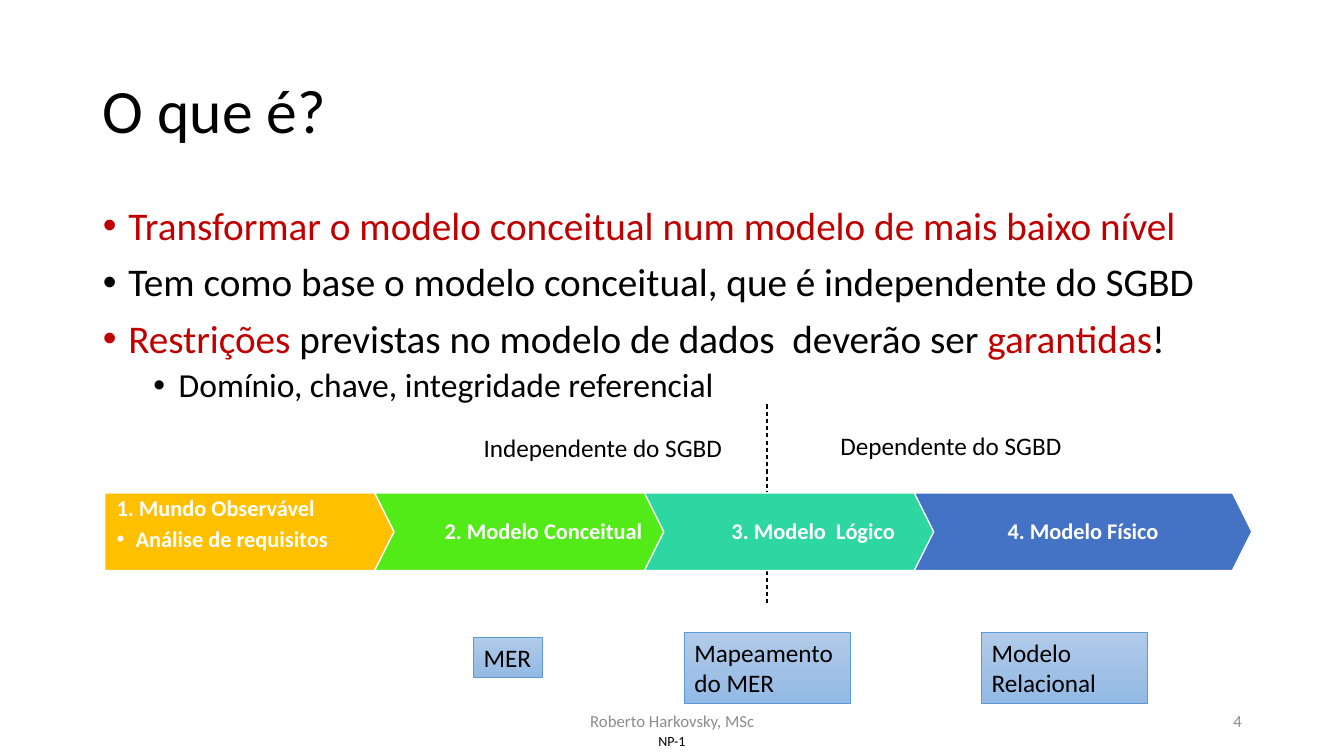
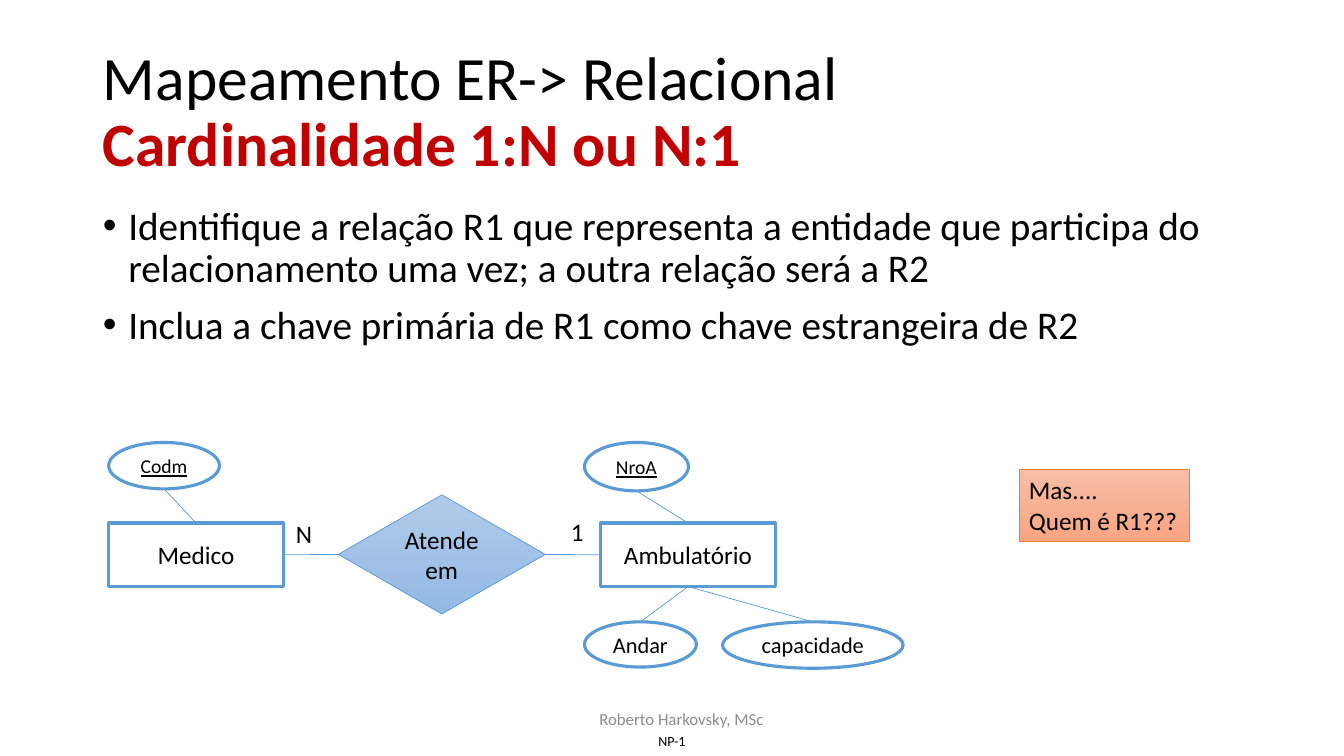
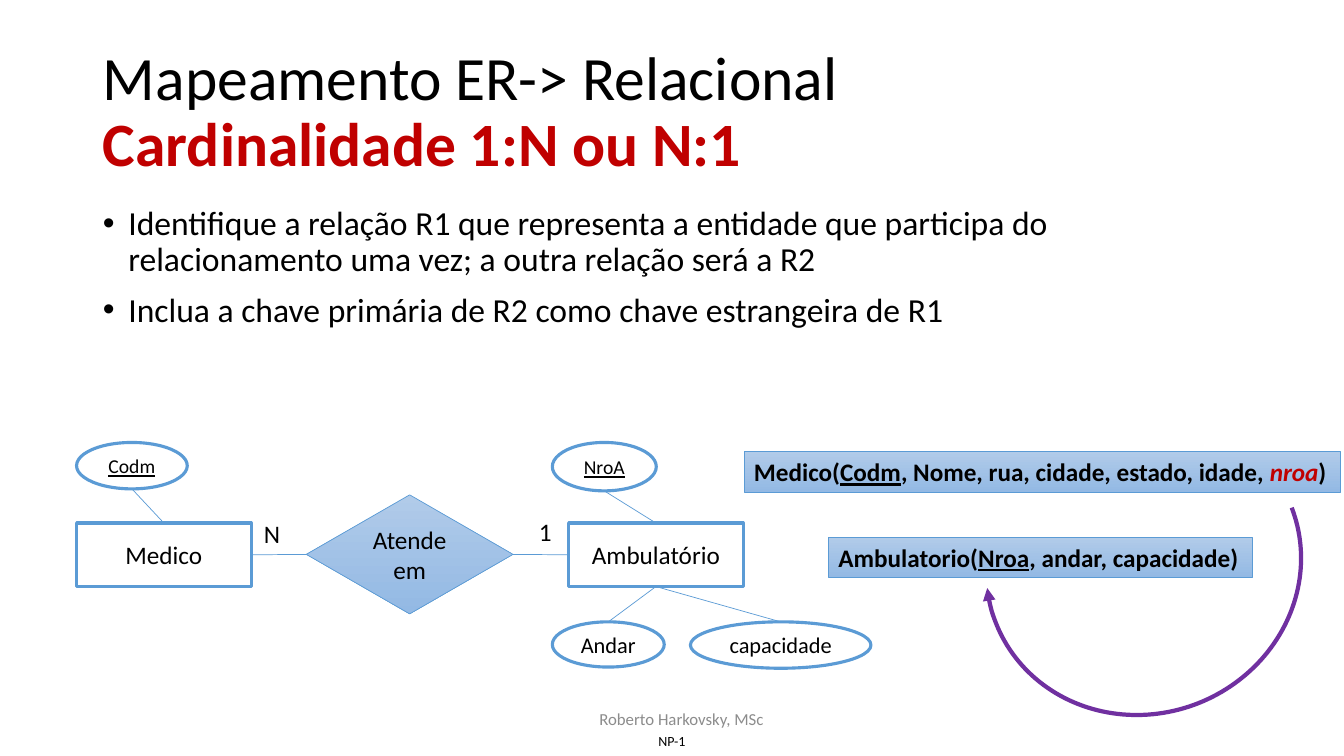
from lxml.etree import SubElement
from pptx import Presentation
from pptx.dml.color import RGBColor
from pptx.enum.dml import MSO_LINE
from pptx.enum.shapes import MSO_CONNECTOR, MSO_SHAPE as SHAPE
from pptx.enum.text import MSO_ANCHOR as ANCHOR, MSO_AUTO_SIZE, PP_ALIGN as ALIGN
from pptx.oxml.ns import qn
from pptx.util import Cm, Pt

FONT = "Calibri"
COLORS = {
    "black": "000000", "white": "FFFFFF", "gray": "8C8C8C", "red": "C00000",
    "blue": "5B9BD5", "orange": "ED7D31", "purple": "7030A0",
    "gold": "FFC000", "green": "53EB17", "teal": "2ED7A1", "navy": "4472C4",
    "blue_top": "B1CBE9", "blue_end": "93B9E4",
    "peach_top": "F7BDA5", "peach_end": "F8A582",
}
BLUE_FADE = ("blue_top", "blue_end")
PEACH_FADE = ("peach_top", "peach_end")
RED = {"color": "red"}
KEY = {"underline": True}


def rgb(name):
    return RGBColor.from_string(COLORS[name])


class Deck:
    def __init__(self):
        self.prs = Presentation()
        self.prs.slide_width, self.prs.slide_height = Cm(33.87), Cm(19.05)

    def new_slide(self, title, footer_at, number=None):
        self.slide = self.prs.slides.add_slide(self.prs.slide_layouts[1])
        self.label("NP-1", 16.21, 18.31, 1.45, 0.74, size=10, align=ALIGN.CENTER,
                   anchor=ANCHOR.MIDDLE, insets=(0, 0, 0, 0))
        sp = self.slide.shapes.title
        self.place(sp, 2.34, 1.02, 29.21, 3.68)
        self.add_text(sp.text_frame, [title], 44, anchor=ANCHOR.MIDDLE, spacing=0.9)
        x, y = footer_at
        small = dict(size=12, color="gray", anchor=ANCHOR.MIDDLE, wrap=True)
        self.label("Roberto Harkovsky, MSc", x, y, 11.43, 1.02, align=ALIGN.CENTER, **small)
        if number:
            self.label(number, 23.93, y, 7.62, 1.02, align=ALIGN.RIGHT, **small)

    def place(self, sp, x, y, w, h):
        sp.left, sp.top, sp.width, sp.height = Cm(x), Cm(y), Cm(w), Cm(h)

    # Text: a paragraph is a string or a list of strings and (string, format) pairs
    def add_text(self, tf, paras, size, color="black", bold=None, align=ALIGN.LEFT,
                 anchor=ANCHOR.TOP, wrap=True, insets=None, spacing=None):
        tf.auto_size, tf.word_wrap, tf.vertical_anchor = MSO_AUTO_SIZE.NONE, wrap, anchor
        if insets:
            tf.margin_left, tf.margin_top, tf.margin_right, tf.margin_bottom = map(Cm, insets)
        for n, runs in enumerate(paras):
            p = tf.add_paragraph() if n else tf.paragraphs[0]
            p.alignment, p.line_spacing = align, spacing
            for run in [runs] if isinstance(runs, str) else runs:
                text, fmt = (run, {}) if isinstance(run, str) else run
                if text == "\n":
                    p.add_line_break()
                    continue
                r = p.add_run()
                r.text = text
                f = r.font
                f.name, f.size = FONT, Pt(size)
                f.color.rgb = rgb(fmt.get("color", color))
                f.bold = fmt.get("bold", bold)
                f.italic, f.underline = fmt.get("italic"), fmt.get("underline")

    def bullet(self, p, left, hang):
        pPr = p._p.get_or_add_pPr()
        pPr.set("marL", str(Cm(left)))
        pPr.set("indent", str(-Cm(hang)))
        SubElement(pPr, qn("a:buFont")).set("typeface", "Arial")
        SubElement(pPr, qn("a:buChar")).set("char", "•")

    def body(self, paras, size, height, sub=()):
        sp = self.slide.placeholders[1]
        self.place(sp, 2.34, 5.08, 29.21, height)
        tf = sp.text_frame
        self.add_text(tf, [*paras, *sub], size, spacing=0.9)
        for n, p in enumerate(tf.paragraphs):
            nested = n >= len(paras)
            p.level = int(nested)
            p.space_before, p.space_after = Pt(5 if nested else 10), Pt(0)
            self.bullet(p, 1.91 if nested else 0.64, 0.64)
            if nested:
                for r in p.runs:
                    r.font.size = Pt(size - 4)

    def label(self, text, x, y, w, h, size=18, wrap=False, **style):
        sp = self.slide.shapes.add_textbox(Cm(x), Cm(y), Cm(w), Cm(h))
        self.add_text(sp.text_frame, [text], size, wrap=wrap, **style)

    def shape(self, kind, x, y, w, h, paras=(), fill=None, line="blue", weight=0.5,
              adjust=(), size=18, **style):
        sp = self.slide.shapes.add_shape(kind, Cm(x), Cm(y), Cm(w), Cm(h))
        sp.shadow.inherit = False
        for n, value in enumerate(adjust):
            sp.adjustments[n] = value
        if fill is None:
            sp.fill.background()
        elif isinstance(fill, tuple):
            sp.fill.gradient()
            sp.fill.gradient_angle = 270
            for stop, name in zip(sp.fill.gradient_stops, fill):
                stop.color.rgb = rgb(name)
        else:
            sp.fill.solid()
            sp.fill.fore_color.rgb = rgb(fill)
        sp.line.color.rgb, sp.line.width = rgb(line), Pt(weight)
        if paras:
            self.add_text(sp.text_frame, paras, size, **style)
        return sp

    def box(self, paras, x, y, w, h, fill=BLUE_FADE, **style):
        self.shape(SHAPE.RECTANGLE, x, y, w, h, paras, fill=fill, **style)

    def node(self, kind, text, x, y, w, h, size=18):
        return self.shape(kind, x, y, w, h, [text], fill="white", weight=2.25, size=size,
                          align=ALIGN.CENTER, anchor=ANCHOR.MIDDLE)

    def line(self, start, end, color="blue", weight=0.5, dash=None):
        c = self.slide.shapes.add_connector(MSO_CONNECTOR.STRAIGHT, *start, *end)
        c.line.color.rgb, c.line.width = rgb(color), Pt(weight)
        if dash:
            c.line.dash_style = dash
        SubElement(c._element.spPr, qn("a:effectLst"))

    def link(self, a, side_a, b, side_b):
        sides = {"top": (0.5, 0), "bottom": (0.5, 1), "left": (0, 0.5), "right": (1, 0.5)}
        ends = []
        for sp, side in ((a, side_a), (b, side_b)):
            fx, fy = sides[side]
            ends.append((int(sp.left + fx * sp.width), int(sp.top + fy * sp.height)))
        self.line(*ends)

    def er_diagram(self, x):
        """Doctor and clinic entities, joined N to 1, with their attributes."""
        rect, oval = SHAPE.RECTANGLE, SHAPE.OVAL
        doctor = self.node(rect, "Medico", x, 13.18, 4.4, 1.6)
        clinic = self.node(rect, "Ambulatório", x + 12.4, 13.18, 4.4, 1.6)
        relation = self.shape(SHAPE.FLOWCHART_DECISION, x + 5.79, 12.47, 5.21, 3,
                              ["Atende", "em"], fill=BLUE_FADE,
                              align=ALIGN.CENTER, anchor=ANCHOR.MIDDLE)
        self.label("N", x + 4.47, 12.93, 0.91, 1.02)
        self.label("1", x + 11.4, 12.88, 0.84, 1.02)
        code = self.node(oval, [("Codm", KEY)], x, 11.15, 2.79, 1.17, 14)
        room = self.node(oval, [("NroA", KEY)], x + 11.99, 11.15, 2.62, 1.22, 14)
        floor = self.node(oval, "Andar", x + 11.99, 15.67, 2.82, 1.14, 16)
        capacity = self.node(oval, "capacidade", x + 15.47, 15.67, 4.55, 1.17, 16)
        self.link(doctor, "right", relation, "left")
        self.link(relation, "right", clinic, "left")
        for attribute, entity in ((code, doctor), (room, clinic)):
            self.link(attribute, "bottom", entity, "top")
        for attribute in (floor, capacity):
            self.link(attribute, "top", clinic, "bottom")


deck = Deck()

# Slide 1: definition and design stages
deck.new_slide("O que é?", (11.23, 17.65), "4")
deck.body([
    [("Transformar o modelo conceitual num modelo de mais baixo nível", RED)],
    "Tem como base o modelo conceitual, que é independente do SGBD",
    [("Restrições", RED), " previstas no modelo de dados  deverão ser ",
     ("garantidas", RED), "!"],
], 28, 12.09, sub=["Domínio, chave, integridade referencial"])
deck.line((Cm(19.33), Cm(10.19)), (Cm(19.33), Cm(15.19)), "black", 0.75, MSO_LINE.DASH)

stages = [
    (["1. Mundo Observável", "Análise de requisitos"], "gold"),
    (["2. Modelo Conceitual"], "green"),
    (["3. Modelo  Lógico"], "teal"),
    (["4. Modelo Físico"], "navy"),
]
for n, (paras, fill) in enumerate(stages):
    first = n == 0
    sp = deck.shape(
        SHAPE.PENTAGON if first else SHAPE.CHEVRON, 2.64 + 6.8 * n, 12.42, 8.51, 1.96,
        paras, fill=fill, line="white", weight=1, adjust=[0.25], size=16,
        color="white", bold=True, spacing=0.9,
        align=ALIGN.LEFT if first else ALIGN.CENTER,
        anchor=ANCHOR.TOP if first else ANCHOR.MIDDLE,
        insets=(0.3, 0.1, 1.19 if first else 0.3, 0.1))
    if first:
        heading, detail = sp.text_frame.paragraphs
        heading.space_after = Pt(5)
        deck.bullet(detail, 0.48, 0.48)

deck.box(["MER"], 11.94, 16.05, 1.73, 1.02, wrap=False)
deck.box(["Mapeamento do MER"], 17.25, 15.93, 4.17, 1.8)
deck.box(["Modelo Relacional"], 24.74, 15.93, 4.17, 1.8)
deck.label("Dependente do SGBD", 20.93, 10.72, 6.22, 1.02)
deck.label("Independente do SGBD", 11.94, 10.77, 6.68, 1.02)

# Slides 2 and 3: the same mapping rule and diagram
for source, target, size, x in (("R1", "R2", 28, 2.74), ("R2", "R1", 24, 1.93)):
    deck.new_slide(["Mapeamento ER-> Relacional", "\n",
                    ("Cardinalidade 1:N ou N:1", {"color": "red", "bold": True})],
                   (11.46, 17.6))
    deck.body([
        "Identifique a relação R1 que representa a entidade que participa do "
        "relacionamento uma vez; a outra relação será a R2",
        f"Inclua a chave primária de {source} como chave estrangeira de {target}",
    ], size, 5.26)
    deck.er_diagram(x)
    if source == "R1":
        deck.box(["Mas....", "Quem é R1???"], 25.68, 11.84, 4.29, 1.8,
                 fill=PEACH_FADE, line="orange", wrap=False)

# Slide 3: resulting relations and the foreign key arrow
deck.box([["Medico(", ("Codm", KEY), ", Nome, rua, cidade, estado, idade, ",
           ("nroa", {"color": "red", "italic": True}), ")"]],
         18.75, 11.38, 15.04, 1.02, bold=True, wrap=False)
deck.box([["Ambulatorio(", ("Nroa", KEY), ", andar, capacidade)"]],
         20.88, 13.54, 10.67, 1.02, bold=True, wrap=False)
arc = deck.shape(SHAPE.ARC, 24.82, 10.49, 8, 7.49, line="purple", weight=3,
                 adjust=[108.26, 7.93])
arc.rotation = 158.4
SubElement(arc._element.spPr.find(qn("a:ln")), qn("a:tailEnd")).set("type", "triangle")

deck.prs.save("out.pptx")
